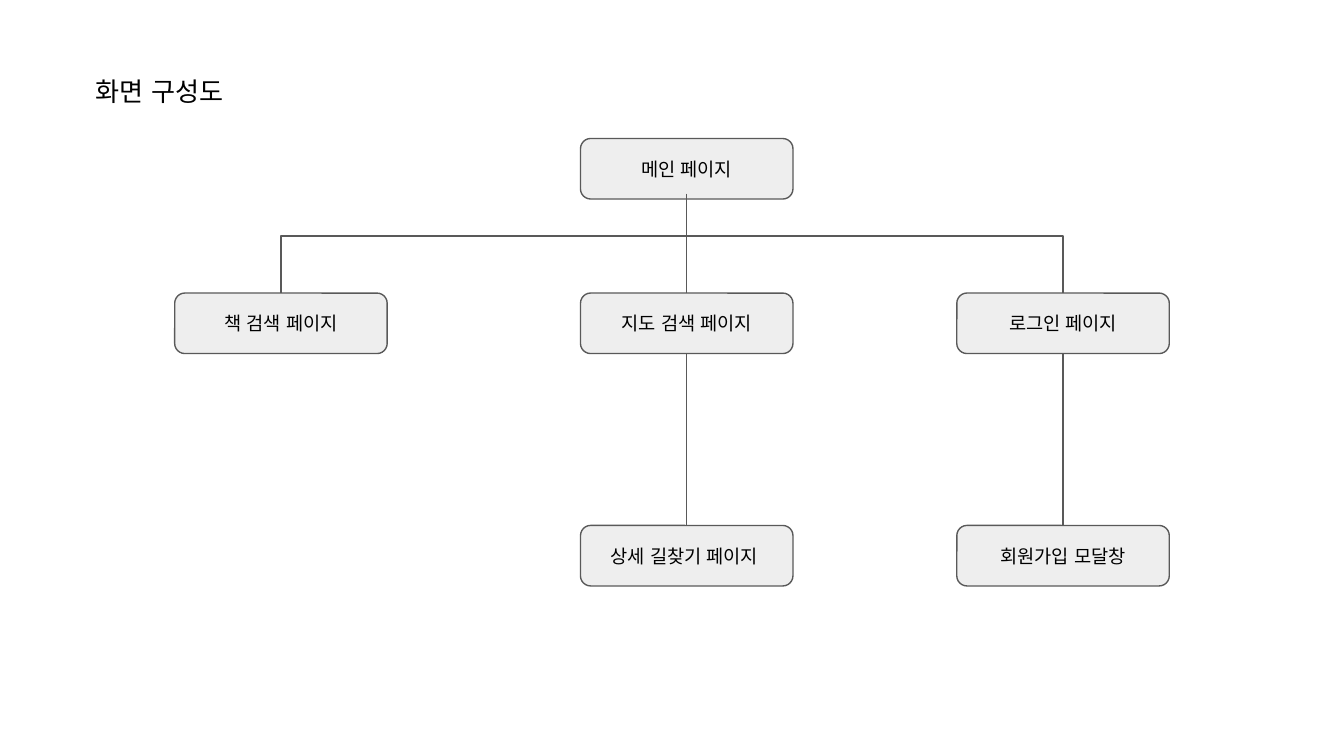
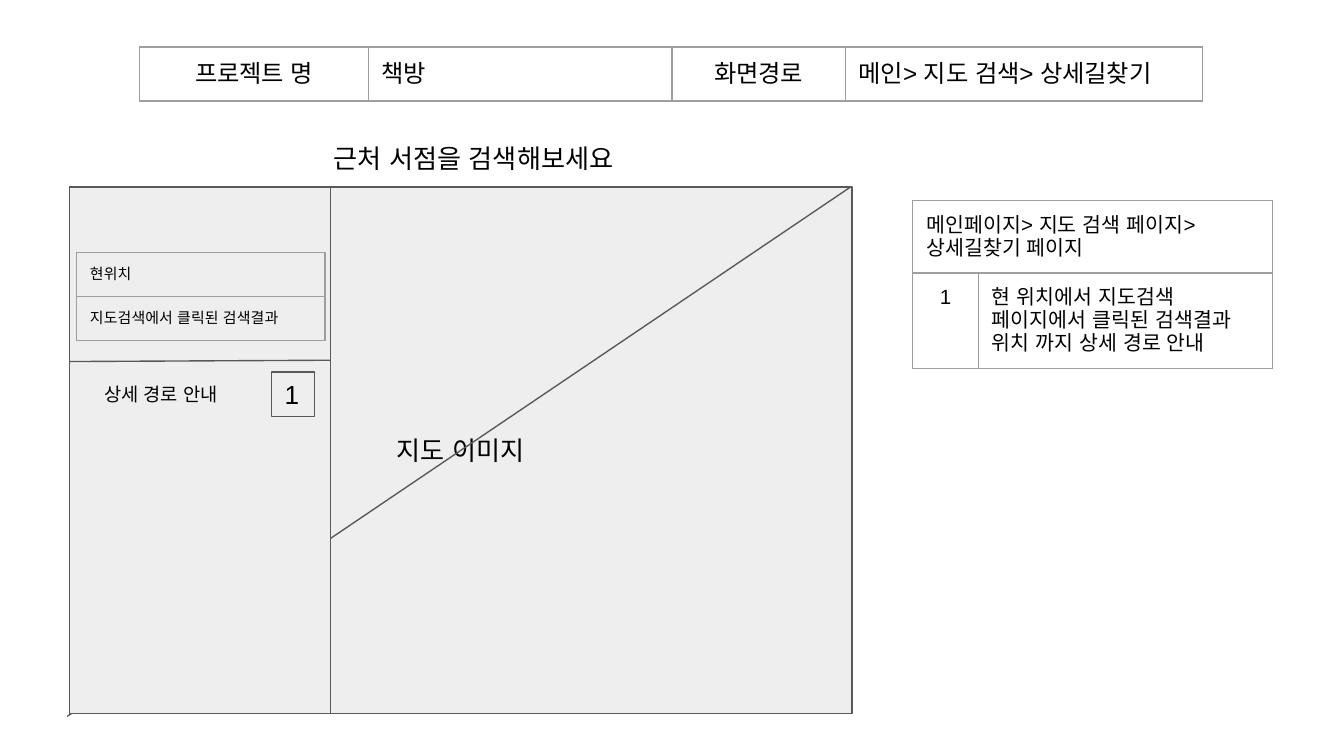
from lxml import etree
from pptx import Presentation
from pptx import util as u
from pptx.dml import color
from pptx.enum import lang, shapes, text
from pptx.oxml import ns

COLORS = {"ink": "000000", "panel": "EEEEEE", "outline": "595959", "grid": "9E9E9E"}
FONT = "Arial"
LINE_WIDTH = 0.75
INSET = 7.2
LEFT, CENTER = text.PP_ALIGN.LEFT, text.PP_ALIGN.CENTER
TOP, MIDDLE = text.MSO_ANCHOR.TOP, text.MSO_ANCHOR.MIDDLE


def rgb(name):
    """Return a palette colour."""
    return color.RGBColor.from_string(COLORS[name])


def points(*values):
    """Convert point values to lengths."""
    return [u.Pt(value) for value in values]


class Wireframe:
    """Draws styled elements on the current slide."""

    def __init__(self):
        """Start a widescreen presentation."""
        self.deck = Presentation()
        self.deck.slide_width, self.deck.slide_height = points(720, 405)
        self.slide = None

    def new_slide(self, heading, area, align=LEFT):
        """Add a slide with its heading."""
        self.slide = self.deck.slides.add_slide(self.deck.slide_layouts[5])
        title = self.slide.shapes.title
        title.left, title.top, title.width, title.height = points(*area)
        self.fill_frame(title.text_frame, heading, 14, align)

    def fill_frame(self, frame, words, size, align=LEFT, anchor=TOP):
        """Fill a text frame with one styled paragraph."""
        layout = {"word_wrap": True, "vertical_anchor": anchor,
                  "auto_size": text.MSO_AUTO_SIZE.NONE}
        layout.update({f"margin_{side}": u.Pt(INSET)
                       for side in ("left", "top", "right", "bottom")})
        for key, value in layout.items():
            setattr(frame, key, value)
        self.paragraph(frame, words, size, align)

    def paragraph(self, frame, words, size, align):
        """Style the first paragraph of a frame."""
        line = frame.paragraphs[0]
        line.alignment = align
        run = line.add_run()
        run.text = words
        style = {"name": FONT, "size": u.Pt(size), "bold": False,
                 "language_id": lang.MSO_LANGUAGE_ID.KOREAN}
        for key, value in style.items():
            setattr(run.font, key, value)
        run.font.color.rgb = rgb("ink")
        east_asian = etree.SubElement(run.font._element, ns.qn("a:ea"))
        east_asian.set("typeface", FONT)

    def label(self, words, area, size):
        """Add a plain text box."""
        note = self.slide.shapes.add_textbox(*points(*area))
        self.fill_frame(note.text_frame, words, size)

    def box(self, area, words="", size=14, align=CENTER,
            kind=shapes.MSO_SHAPE.RECTANGLE):
        """Add an outlined grey box."""
        panel = self.slide.shapes.add_shape(kind, *points(*area))
        panel.shadow.inherit = False
        panel.fill.solid()
        panel.fill.fore_color.rgb = rgb("panel")
        self.outline(panel)
        if words:
            self.fill_frame(panel.text_frame, words, size, align, MIDDLE)

    def outline(self, item):
        """Apply the shared line style."""
        item.line.color.rgb = rgb("outline")
        item.line.width = u.Pt(LINE_WIDTH)

    def link(self, start, end, bent=False):
        """Add a straight line or a single-bend connector."""
        kind = shapes.MSO_CONNECTOR.ELBOW if bent else shapes.MSO_CONNECTOR.STRAIGHT
        connector = self.slide.shapes.add_connector(kind, *points(*start, *end))
        self.outline(connector)
        properties = connector._element.spPr
        etree.SubElement(properties, ns.qn("a:effectLst"))
        if bent:
            properties.find(ns.qn("a:prstGeom")).set("prst", "bentConnector2")

    def table(self, origin, widths, heights, rows, size, centred=(), merge=None):
        """Add a thin-ruled table without fills."""
        frame = self.slide.shapes.add_table(
            len(heights), len(widths), *points(*origin, sum(widths), sum(heights)))
        grid = frame.table
        grid.first_row = grid.horz_banding = False
        for column, width in zip(grid.columns, widths):
            column.width = u.Pt(width)
        for row, height in zip(grid.rows, heights):
            row.height = u.Pt(height)
        if merge:
            grid.cell(*merge[0]).merge(grid.cell(*merge[1]))
        for r, entries in enumerate(rows):
            for c, words in enumerate(entries):
                cell = grid.cell(r, c)
                self.rule(cell)
                cell.fill.background()
                for side in ("left", "top", "right", "bottom"):
                    setattr(cell, f"margin_{side}", u.Pt(INSET))
                if words:
                    align = CENTER if (r, c) in centred else LEFT
                    self.paragraph(cell.text_frame, words, size, align)

    def rule(self, cell):
        """Draw the four borders of a cell."""
        properties = cell._tc.get_or_add_tcPr()
        for side in ("lnL", "lnR", "lnT", "lnB"):
            border = etree.SubElement(properties, ns.qn(f"a:{side}"))
            border.set("w", str(u.Pt(LINE_WIDTH)))
            fill = etree.SubElement(border, ns.qn("a:solidFill"))
            etree.SubElement(fill, ns.qn("a:srgbClr")).set("val", COLORS["grid"])


def site_map(page):
    """Draw the screen hierarchy."""
    page.new_slide("화면 구성도", (43.9, 33.1, 108, 31.7))
    width, height = 113.8, 32.4
    book, route, login = 93.6, 311, 512.6
    main, search, detail = 74.2, 157, 281.5
    screens = [
        ("메인 페이지", route, main),
        ("책 검색 페이지", book, search),
        ("지도 검색 페이지", route, search),
        ("로그인 페이지", login, search),
        ("상세 길찾기 페이지 ", route, detail),
        ("회원가입 모달창", login, detail),
    ]
    for name, left, top in screens:
        page.box((left, top, width, height), name, 10,
                 kind=shapes.MSO_SHAPE.ROUNDED_RECTANGLE)
    book_axis, route_axis, login_axis = (x + width / 2 for x in (book, route, login))
    branch = 126.4
    page.link((route_axis, 103.7), (route_axis, search))
    for axis in (book_axis, login_axis):
        page.link((route_axis, branch), (axis, search), bent=True)
    for axis in (route_axis, login_axis):
        page.link((axis, search + height), (axis, detail))


def directions_screen(page):
    """Draw the directions screen and its description."""
    page.new_slide("근처 서점을 검색해보세요", (111.6, 69.1, 284.4, 31.7), CENTER)
    page.table((74.9, 25.2), (122.4, 162.7, 92.9, 191.5), (26.6,),
               [("프로젝트 명", "책방", "화면경로", "메인> 지도 검색> 상세길찾기")],
               13, centred={(0, 0), (0, 2)})
    page.table((488.9, 107.3), (35.3, 157.7), (28.1, 48.2),
               [("메인페이지> 지도 검색 페이지> 상세길찾기 페이지", ""),
                ("1", "현 위치에서 지도검색 페이지에서 클릭된 검색결과 위치 까지 상세 경로 안내")],
               11, centred={(1, 0)}, merge=((0, 0), (0, 1)))
    left, top, height, sidebar = 37.4, 100.1, 282.2, 139.7
    page.box((left, top, 419, height), "지도 이미지")
    page.link((455.8, top), (36, 383.8))
    page.box((left, top, sidebar, height))
    page.table((41, 135.4), (133.2,), (21.6, 22.3),
               [("현위치",), ("지도검색에서 클릭된 검색결과",)], 8)
    page.link((left, 193.7), (left + sidebar, 193))
    page.label("상세 경로 안내", (49, 198, 117.4, 26.6), 10)
    page.box((145.4, 199.4, 23, 23.8), "1", 14, LEFT)


wireframe = Wireframe()
site_map(wireframe)
directions_screen(wireframe)
wireframe.deck.save("out.pptx")
